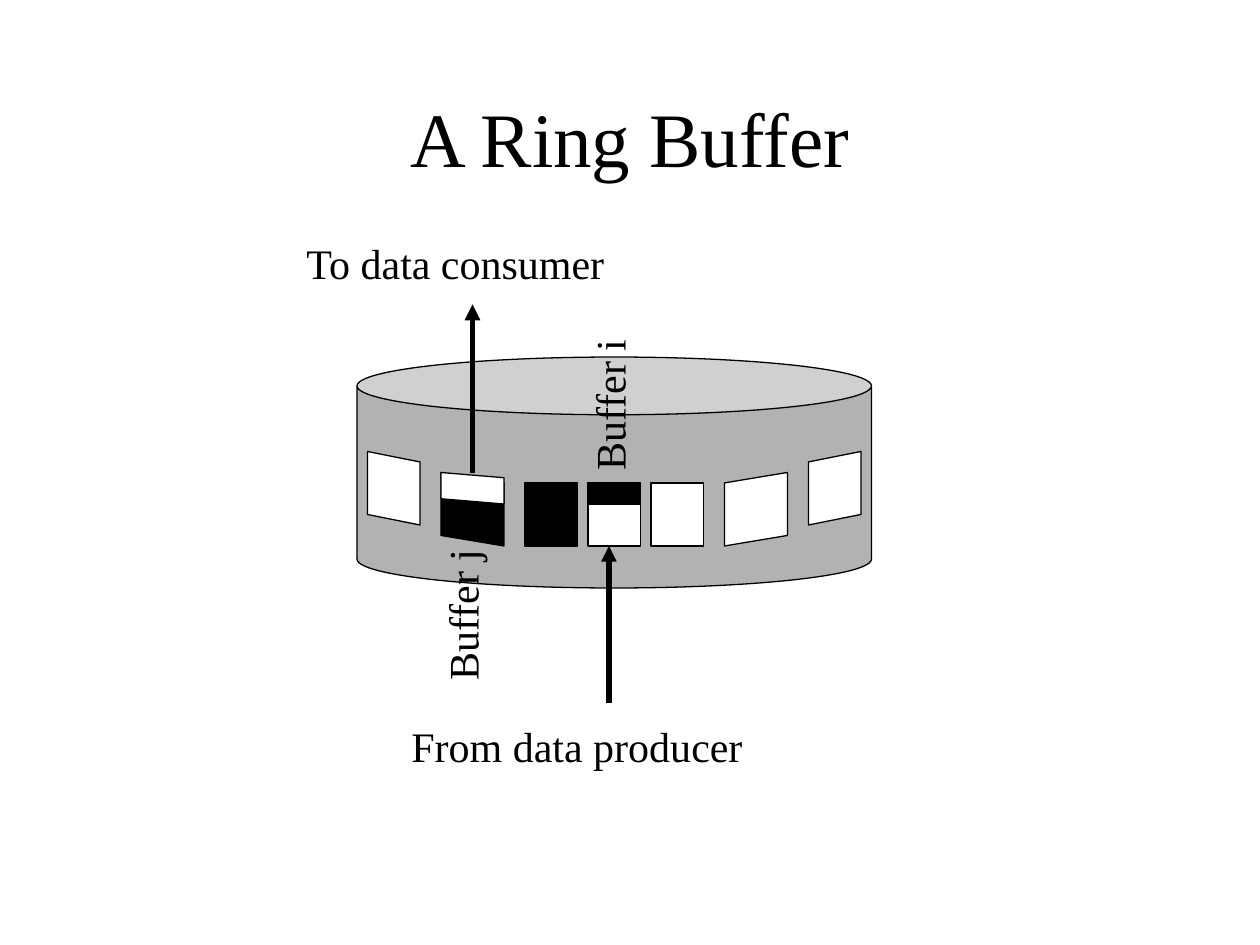
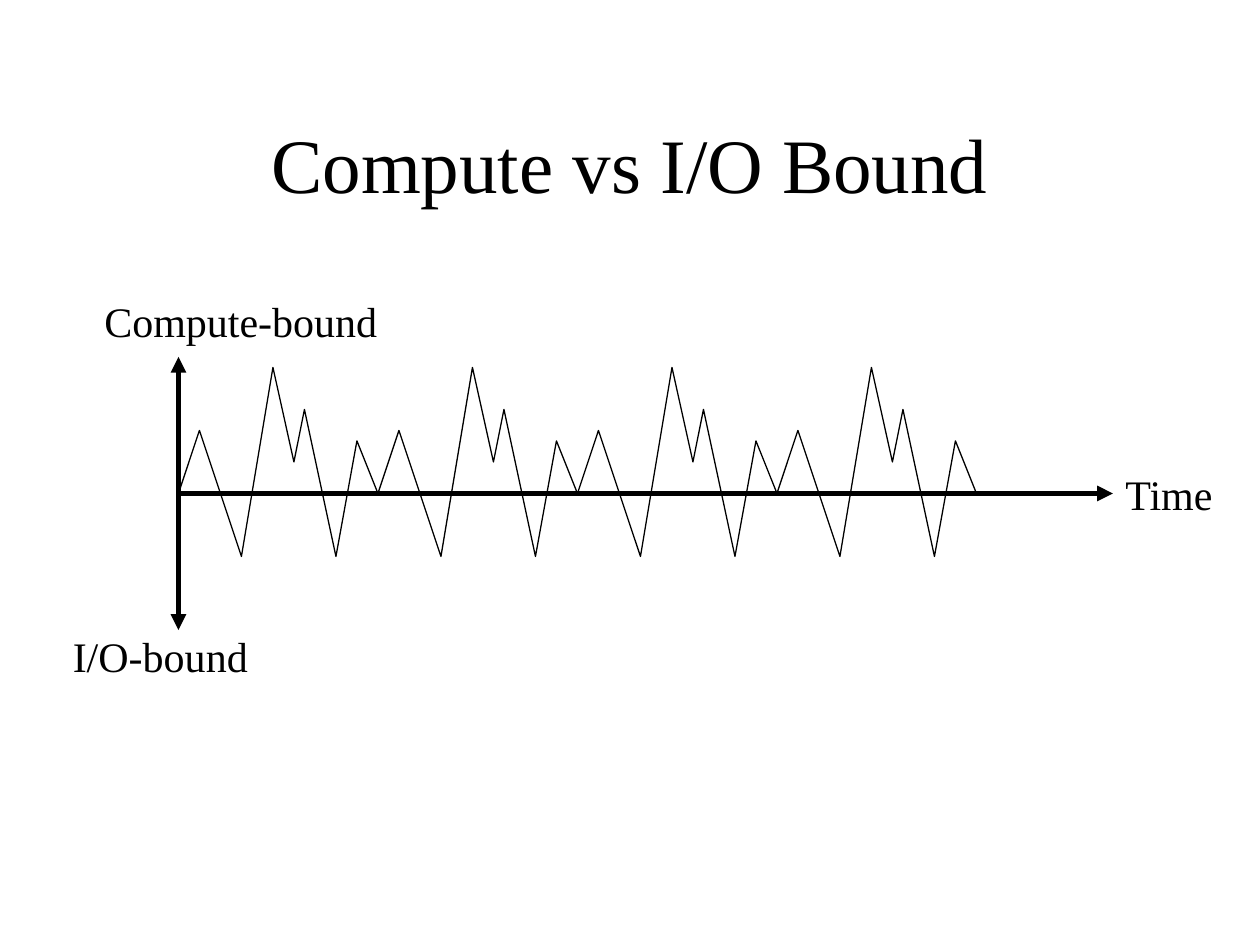
from dataclasses import dataclass

from lxml import etree
from pptx import Presentation
from pptx.dml.color import RGBColor
from pptx.enum.shapes import MSO_CONNECTOR, MSO_SHAPE
from pptx.enum.text import MSO_ANCHOR, MSO_AUTO_SIZE, PP_ALIGN
from pptx.oxml.ns import qn
from pptx.presentation import Presentation as Deck
from pptx.shapes.autoshape import Shape
from pptx.slide import Slide
from pptx.util import Pt

CAN = MSO_SHAPE.CAN
RECTANGLE = MSO_SHAPE.RECTANGLE
STRAIGHT = MSO_CONNECTOR.STRAIGHT
MIDDLE = MSO_ANCHOR.MIDDLE
CENTER = PP_ALIGN.CENTER
FIT_TEXT = MSO_AUTO_SIZE.SHAPE_TO_FIT_TEXT

Point = tuple[float, float]


@dataclass(frozen=True)
class Theme:
    font: str = "Times New Roman"
    title_size: float = 44
    label_size: float = 24
    thin: float = 0.75
    thick: float = 3
    black: RGBColor = RGBColor(0, 0, 0)
    white: RGBColor = RGBColor(255, 255, 255)
    gray: RGBColor = RGBColor(178, 178, 178)


THEME = Theme()


@dataclass(frozen=True)
class Label:
    text: str
    left: float
    top: float
    width: float
    rotation: float = 0


@dataclass(frozen=True)
class Arrow:
    start: Point
    end: Point
    double: bool = False


@dataclass(frozen=True)
class Block:
    left: float
    top: float
    width: float
    height: float
    fill: RGBColor
    kind: MSO_SHAPE = RECTANGLE


@dataclass(frozen=True)
class Panel:
    outer_x: float
    inner_x: float
    top: float
    height: float
    drop: float
    fill: RGBColor


RING = Block(204, 204, 294, 132, THEME.gray, CAN)
BUFFER_TOP, BUFFER_WIDTH, BUFFER_HEIGHT, BUFFER_PITCH = 276, 30, 36, 36
FRONT_BUFFERS = [
    Block(300 + index * BUFFER_PITCH, BUFFER_TOP, BUFFER_WIDTH, BUFFER_HEIGHT, fill)
    for index, fill in enumerate((THEME.black, THEME.white, THEME.white))
]
FILLED_PART = Block(336, BUFFER_TOP, BUFFER_WIDTH, 12, THEME.black)
SIDE_BUFFERS = [
    Panel(252, 288, 270, 36, 6, THEME.black),
    Panel(450, 414, 270, 36, 6, THEME.white),
    Panel(210, 240, 258, 36, 6, THEME.white),
    Panel(492, 462, 258, 36, 6, THEME.white),
    Panel(252, 288, 270, 15, 3, THEME.white),
]
RING_ARROWS = [Arrow((348, 402), (348, 312)), Arrow((270, 270), (270, 174))]
RING_LABELS = [
    Label("From data producer", 228, 408, 204),
    Label("To data consumer", 168, 132, 186.5),
    Label("Buffer i", 303, 213, 90, 270),
    Label("Buffer j", 219, 333, 90, 270),
]

ORIGIN_X, ORIGIN_Y = 102, 282
CYCLE_COUNT, CYCLE_WIDTH = 4, 114
CYCLE = [(0, 0), (12, -36), (36, 36), (54, -72), (66, -18),
         (72, -48), (90, 36), (102, -30), (CYCLE_WIDTH, 0)]
AXES = [
    Arrow((ORIGIN_X, 204), (ORIGIN_X, 360), double=True),
    Arrow((ORIGIN_X, ORIGIN_Y), (636, ORIGIN_Y)),
]
AXIS_LABELS = [
    Label("Compute-bound", 52.5, 165.5, 170.5),
    Label("I/O-bound", 34.5, 357, 114.5),
    Label("Time", 636, 264, 65),
]


def write(shape: Shape, text: str, size: float) -> None:
    paragraph = shape.text_frame.paragraphs[0]
    paragraph.text = text
    paragraph.font.name = THEME.font
    paragraph.font.size = Pt(size)
    paragraph.font.color.rgb = THEME.black


def add_title(slide: Slide, text: str, height: float) -> None:
    box = slide.shapes.add_textbox(Pt(54), Pt(48), Pt(612), Pt(height))
    box.text_frame.word_wrap = True
    box.text_frame.vertical_anchor = MIDDLE
    write(box, text, THEME.title_size)
    box.text_frame.paragraphs[0].alignment = CENTER


def add_label(slide: Slide, label: Label) -> None:
    box = slide.shapes.add_textbox(Pt(label.left), Pt(label.top), Pt(label.width), Pt(36))
    box.rotation = label.rotation
    box.text_frame.word_wrap = False
    box.text_frame.auto_size = FIT_TEXT
    write(box, label.text, THEME.label_size)


def outline(shape: Shape) -> None:
    shape.shadow.inherit = False
    shape.line.color.rgb = THEME.black
    shape.line.width = Pt(THEME.thin)


def paint(shape: Shape, fill: RGBColor) -> None:
    outline(shape)
    shape.fill.solid()
    shape.fill.fore_color.rgb = fill


def add_block(slide: Slide, block: Block) -> None:
    shape = slide.shapes.add_shape(
        block.kind, Pt(block.left), Pt(block.top), Pt(block.width), Pt(block.height)
    )
    paint(shape, block.fill)


def add_outline(slide: Slide, points: list[Point], close: bool) -> Shape:
    corners = [(Pt(x), Pt(y)) for x, y in points]
    builder = slide.shapes.build_freeform(*corners[0])
    builder.add_line_segments(corners[1:], close=close)
    return builder.convert_to_shape()


def add_panel(slide: Slide, panel: Panel) -> None:
    inner_top = panel.top + panel.drop
    inner_height = panel.height if panel.height == BUFFER_HEIGHT else panel.height
    corners = [
        (panel.outer_x, panel.top),
        (panel.inner_x, inner_top),
        (panel.inner_x, inner_top + inner_height),
        (panel.outer_x, panel.top + panel.height),
    ]
    paint(add_outline(slide, corners, close=True), panel.fill)


def add_arrow(slide: Slide, arrow: Arrow) -> None:
    ends = (Pt(value) for value in (*arrow.start, *arrow.end))
    connector = slide.shapes.add_connector(STRAIGHT, *ends)
    connector.line.color.rgb = THEME.black
    connector.line.width = Pt(THEME.thick)
    line = connector.line._get_or_add_ln()
    for tag in ("a:headEnd", "a:tailEnd") if arrow.double else ("a:tailEnd",):
        etree.SubElement(line, qn(tag), type="triangle")
    etree.SubElement(connector._element.spPr, qn("a:effectLst"))


def add_slide(presentation: Deck, title: str, title_height: float) -> Slide:
    slide = presentation.slides.add_slide(presentation.slide_layouts[6])
    add_title(slide, title, title_height)
    return slide


def build_ring_buffer(presentation: Deck) -> None:
    slide = add_slide(presentation, "A Ring Buffer", 60)
    for block in (RING, *FRONT_BUFFERS, FILLED_PART):
        add_block(slide, block)
    for panel in SIDE_BUFFERS:
        add_panel(slide, panel)
    for arrow in RING_ARROWS:
        add_arrow(slide, arrow)
    for label in RING_LABELS:
        add_label(slide, label)


def build_bound_phases(presentation: Deck) -> None:
    slide = add_slide(presentation, "Compute vs I/O Bound", 90)
    for axis in AXES:
        add_arrow(slide, axis)
    for index in range(CYCLE_COUNT):
        start = ORIGIN_X + index * CYCLE_WIDTH
        points = [(start + x, ORIGIN_Y + y) for x, y in CYCLE]
        wave = add_outline(slide, points, close=False)
        outline(wave)
        wave.fill.background()
    for label in AXIS_LABELS:
        add_label(slide, label)


def main() -> None:
    presentation = Presentation()
    presentation.slide_width = Pt(720)
    presentation.slide_height = Pt(540)
    build_ring_buffer(presentation)
    build_bound_phases(presentation)
    presentation.save("out.pptx")


if __name__ == "__main__":
    main()
